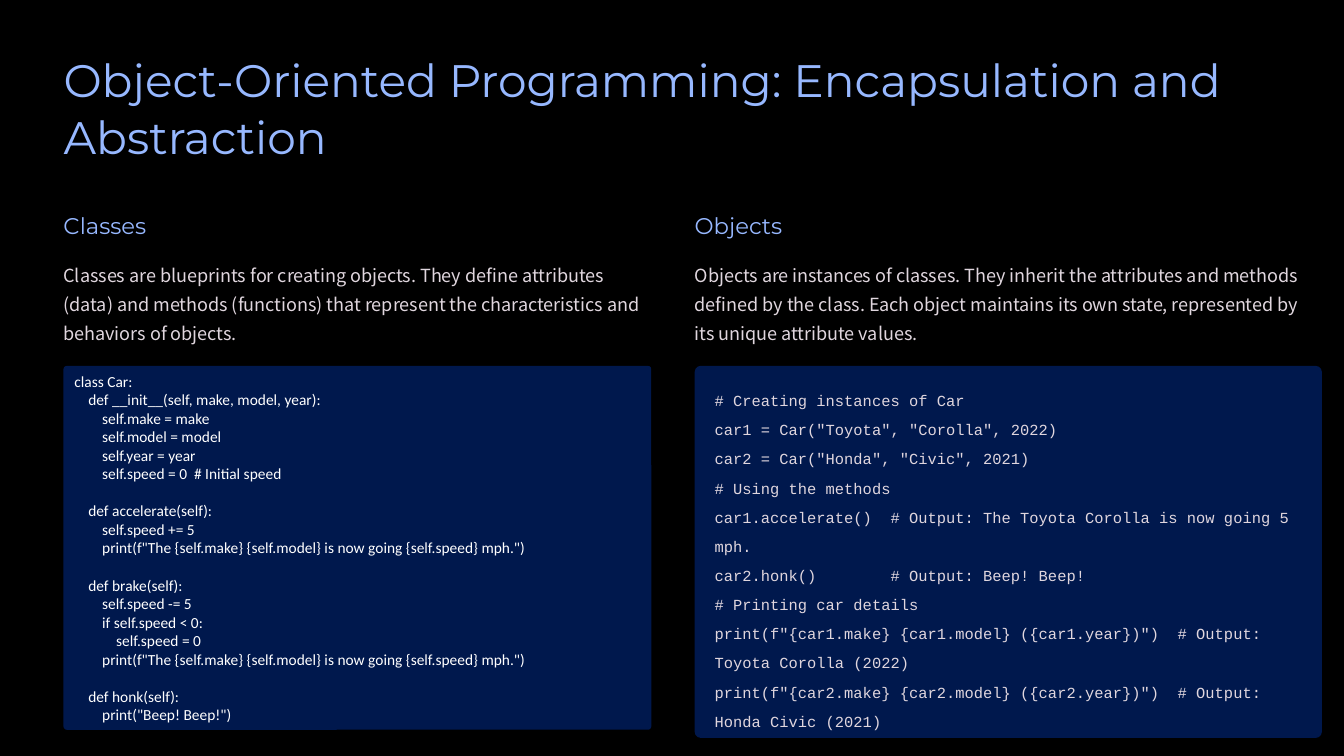
"""Build the slide on classes and objects."""
from pptx import Presentation
from pptx.dml.color import RGBColor
from pptx.enum.shapes import MSO_SHAPE
from pptx.enum.text import MSO_ANCHOR, MSO_AUTO_SIZE, PP_ALIGN
from pptx.util import Inches, Pt

TITLE = "Object-Oriented Programming: Encapsulation and Abstraction"

CLASS_CODE = '''class Car:
    def __init__(self, make, model, year):
        self.make = make
        self.model = model
        self.year = year
        self.speed = 0  # Initial speed

    def accelerate(self):
        self.speed += 5
        print(f"The {self.make} {self.model} is now going {self.speed} mph.")

    def brake(self):
        self.speed -= 5
        if self.speed < 0:
            self.speed = 0
        print(f"The {self.make} {self.model} is now going {self.speed} mph.")

    def honk(self):
        print("Beep! Beep!")'''

OBJECT_CODE = '''# Creating instances of Car
car1 = Car("Toyota", "Corolla", 2022)
car2 = Car("Honda", "Civic", 2021)
# Using the methods
car1.accelerate()  # Output: The Toyota Corolla is now going 5 mph.
car2.honk()        # Output: Beep! Beep!
# Printing car details
print(f"{car1.make} {car1.model} ({car1.year})")  # Output: Toyota Corolla (2022)
print(f"{car2.make} {car2.model} ({car2.year})")  # Output: Honda Civic (2021)'''

COLUMNS = [
    dict(
        heading="Classes",
        body="Classes are blueprints for creating objects. They define attributes (data) and methods "
             "(functions) that represent the characteristics and behaviors of objects.",
        code=CLASS_CODE, style="class_code", left=0.63, body_width=5.81,
        panel=(5.83, 3.61), corner=0.009, inset=(0.1, 0.05), anchor=MSO_ANCHOR.MIDDLE,
    ),
    dict(
        heading="Objects",
        body="Objects are instances of classes. They inherit the attributes and methods defined by the "
             "class. Each object maintains its own state, represented by its unique attribute values.",
        code=OBJECT_CODE, style="object_code", left=6.89, body_width=6.22,
        panel=(6.22, 3.69), corner=0.016, inset=(0.18, 0.13), anchor=MSO_ANCHOR.TOP,
    ),
]

THEME = {
    "background": "000000",
    "panel": "00184D",
    "title": dict(font="Montserrat", size=32.5, color="97B8FF", leading=40.4),
    "heading": dict(font="Montserrat", size=16.2, color="97B8FF", leading=20),
    "body": dict(font="Noto Sans CJK TC", size=12.9, color="E0D6DE", leading=20.8),
    "class_code": dict(font="Calibri", size=11, color="FFFFFF", gap=13.4),
    "object_code": dict(font="Courier New", size=11, color="E0D6DE", leading=20.8),
}


def write(shape, text, *, font, size, color, leading=None, gap=0,
          inset=(0, 0), anchor=MSO_ANCHOR.TOP):
    """Fill a shape line by line, turning each blank line into space before the next."""
    frame = shape.text_frame
    frame.word_wrap = True
    frame.auto_size = MSO_AUTO_SIZE.NONE
    frame.vertical_anchor = anchor
    frame.margin_left = frame.margin_right = Inches(inset[0])
    frame.margin_top = frame.margin_bottom = Inches(inset[1])
    para = frame.paragraphs[0]
    for block_index, block in enumerate(text.split("\n\n")):
        for line_index, line in enumerate(block.split("\n")):
            if block_index or line_index:
                para = frame.add_paragraph()
            if block_index and line_index == 0:
                para.space_before = Pt(gap)
            para.alignment = PP_ALIGN.LEFT
            if leading:
                para.line_spacing = Pt(leading)
            span = para.add_run()
            span.text = line
            span.font.name = font
            span.font.size = Pt(size)
            span.font.color.rgb = RGBColor.from_string(color)


def add_text(page, text, left, top, width, height, style):
    """Add a text box in a theme style."""
    box = page.shapes.add_textbox(*map(Inches, (left, top, width, height)))
    write(box, text, **THEME[style])


def add_panel(page, column):
    """Add a rounded panel holding code."""
    panel = page.shapes.add_shape(
        MSO_SHAPE.ROUNDED_RECTANGLE, *map(Inches, (column["left"], 3.63, *column["panel"])))
    panel.adjustments[0] = column["corner"]
    panel.shadow.inherit = False
    panel.fill.solid()
    panel.fill.fore_color.rgb = RGBColor.from_string(THEME["panel"])
    panel.line.fill.background()
    write(panel, column["code"], inset=column["inset"], anchor=column["anchor"],
          **THEME[column["style"]])


def main():
    """Build and save the deck."""
    deck = Presentation()
    deck.slide_width, deck.slide_height = Inches(13.33), Inches(7.5)
    page = deck.slides.add_slide(deck.slide_layouts[5])
    page.background.fill.solid()
    page.background.fill.fore_color.rgb = RGBColor.from_string(THEME["background"])

    title = page.shapes.title
    title.left, title.top, title.width, title.height = map(Inches, (0.63, 0.5, 12.06, 1.13))
    write(title, TITLE, **THEME["title"])

    for column in COLUMNS:
        add_text(page, column["heading"], column["left"], 2.09, 2.27, 0.28, "heading")
        add_text(page, column["body"], column["left"], 2.55, column["body_width"], 0.87, "body")
        add_panel(page, column)

    deck.save("out.pptx")


if __name__ == "__main__":
    main()
